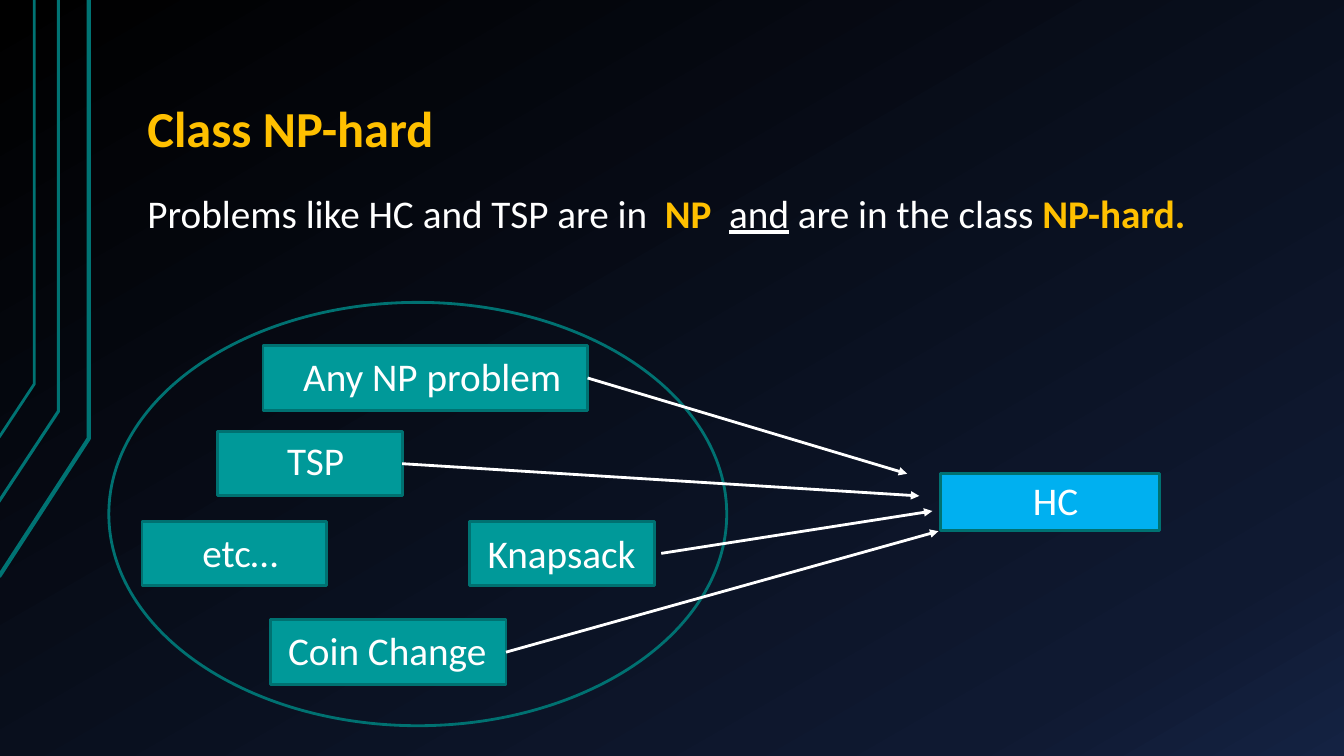
import copy
from dataclasses import dataclass
from typing import Optional

import lxml.etree
import pptx
import pptx.dml.color
import pptx.enum.dml
import pptx.enum.shapes
import pptx.enum.text
import pptx.oxml.ns
import pptx.util

WIDE, HIGH = pptx.util.Inches(13.333), pptx.util.Inches(7.5)
COLS, ROWS = 80, 45
FONT = "Calibri"
HUES = {
    "black": "000000", "navy": "0F1931", "blue": "142242",
    "trace": "007373", "edge": "007171", "teal": "009999",
    "sky": "00B0F0", "gold": "FFC000", "white": "FFFFFF",
}
BOX_H, TAG_H = 3.84, 3.42
Point = tuple[float, float]


@dataclass
class Area:
    x: float
    y: float
    w: float
    h: float


@dataclass
class Node:
    name: str
    box: Area
    tag: Area
    hue: str = "teal"
    tip: Optional[Point] = None
    start: Optional[Point] = None


@dataclass
class Trace:
    points: list[Point]
    width: float


@dataclass
class Part:
    text: str
    hue: str = "white"
    bold: bool = False
    under: bool = False


TRACES = [
    Trace([(-0.06, 34.32), (5.28, 26.1), (5.28, 0)], 3),
    Trace([(-0.12, 29.94), (3.48, 24.48), (3.48, 0)], 2.25),
    Trace([(-0.06, 26.04), (2.04, 22.86), (2.04, 0)], 2),
]
NODES = [
    Node("Any NP problem", Area(15.66, 20.58, 19.32, BOX_H),
         Area(17.46, 20.7, 16.74, TAG_H), tip=(54, 28.2)),
    Node("TSP", Area(12.96, 25.68, 10.98, BOX_H),
         Area(16.5, 25.68, 4.68, TAG_H), tip=(54.72, 29.52)),
    Node("etc…", Area(8.46, 31.02, 10.98, BOX_H),
         Area(11.46, 31.14, 5.88, TAG_H)),
    Node("Knapsack", Area(27.96, 31.02, 10.98, BOX_H),
         Area(28.44, 31.2, 10.14, TAG_H), tip=(55.5, 30.42), start=(39.36, 32.94)),
    Node("Coin Change", Area(16.08, 36.9, 14.04, BOX_H),
         Area(16.56, 36.96, 13.14, TAG_H), tip=(55.86, 31.62)),
    Node("HC", Area(55.98, 28.2, 13.02, 3.36),
         Area(60.9, 28.08, 3.96, TAG_H), hue="sky"),
]
BODY = [
    Part("Problems like HC and TSP are in  "),
    Part("NP  ", "gold", bold=True),
    Part("and", under=True),
    Part(" are in the class "),
    Part("NP-hard.", "gold", bold=True),
]


def rgb(hue: str) -> pptx.dml.color.RGBColor:
    return pptx.dml.color.RGBColor.from_string(HUES[hue])


def spot(x: float, y: float) -> tuple[int, int]:
    return round(WIDE * x / COLS), round(HIGH * y / ROWS)


def frame(area: Area) -> tuple[int, int, int, int]:
    return spot(area.x, area.y) + spot(area.w, area.h)


def stroke(item, hue: str, width: float) -> None:
    item.line.color.rgb = rgb(hue)
    item.line.width = pptx.util.Pt(width)


def paint(slide) -> None:
    fill = slide.background.fill
    fill.gradient()
    fill.gradient_angle = 300
    stops = slide.element.find(".//" + pptx.oxml.ns.qn("a:gsLst"))
    stops.append(copy.deepcopy(stops[-1]))
    marks = [(0, "black"), (0.85, "navy"), (1, "blue")]
    for stop, (place, hue) in zip(fill.gradient_stops, marks):
        stop.position = place
        stop.color.rgb = rgb(hue)


def draw_trace(slide, trace: Trace) -> None:
    first, *rest = [spot(*point) for point in trace.points]
    pen = slide.shapes.build_freeform(*first)
    pen.add_line_segments(rest, close=False)
    item = pen.convert_to_shape()
    item.shadow.inherit = False
    item.fill.background()
    stroke(item, "trace", trace.width)


def draw_shape(slide, kind, area: Area, hue: Optional[str] = None):
    item = slide.shapes.add_shape(kind, *frame(area))
    item.shadow.inherit = False
    if hue:
        item.fill.solid()
        item.fill.fore_color.rgb = rgb(hue)
    else:
        item.fill.background()
    stroke(item, "edge", 2)
    return item


def draw_text(slide, area: Area, parts: list[Part], size: float, label: bool = False):
    text = slide.shapes.add_textbox(*frame(area)).text_frame
    text.word_wrap = not label
    line = text.paragraphs[0]
    line.font.name = FONT
    line.font.size = pptx.util.Pt(size)
    if not label:
        text.margin_left = text.margin_right = pptx.util.Inches(0.13)
        text.margin_top = text.margin_bottom = pptx.util.Inches(0.07)
        line.line_spacing = 0.9
    if len(parts) == 1:
        line.font.color.rgb = rgb(parts[0].hue)
        line.font.bold = parts[0].bold
    for part in parts:
        run = line.add_run()
        run.text = part.text
        if len(parts) > 1:
            run.font.color.rgb = rgb(part.hue)
            run.font.bold = part.bold
            run.font.underline = part.under
    return text


def draw_arrow(slide, node: Node, box) -> None:
    start = node.start or (node.box.x + node.box.w, node.box.y + node.box.h / 2)
    item = slide.shapes.add_connector(
        pptx.enum.shapes.MSO_CONNECTOR.STRAIGHT, *spot(*start), *spot(*node.tip))
    if not node.start:
        item.begin_connect(box, 3)
    stroke(item, "white", 2)
    tail = lxml.etree.SubElement(item.line._get_or_add_ln(), pptx.oxml.ns.qn("a:tailEnd"))
    tail.set("type", "triangle")
    lxml.etree.SubElement(item.element.spPr, pptx.oxml.ns.qn("a:effectLst"))


def main() -> None:
    deck = pptx.Presentation()
    deck.slide_width, deck.slide_height = WIDE, HIGH
    slide = deck.slides.add_slide(deck.slide_layouts[6])
    paint(slide)
    for trace in TRACES:
        draw_trace(slide, trace)
    title = draw_text(slide, Area(8, 1.8, 68, 8.04),
                      [Part("Class NP-hard", "gold", bold=True)], 36)
    title.vertical_anchor = pptx.enum.text.MSO_ANCHOR.BOTTOM
    draw_text(slide, Area(8, 11.16, 70.5, 29.28), BODY, 28)
    kinds = pptx.enum.shapes.MSO_SHAPE
    boxes = [draw_shape(slide, kinds.RECTANGLE, node.box, node.hue) for node in NODES]
    draw_shape(slide, kinds.OVAL, Area(6.48, 18, 36.78, 25.2))
    for node, box in zip(NODES, boxes):
        draw_text(slide, node.tag, [Part(node.name)], 28, label=True)
        if node.tip:
            draw_arrow(slide, node, box)
    deck.save("out.pptx")


if __name__ == "__main__":
    main()
